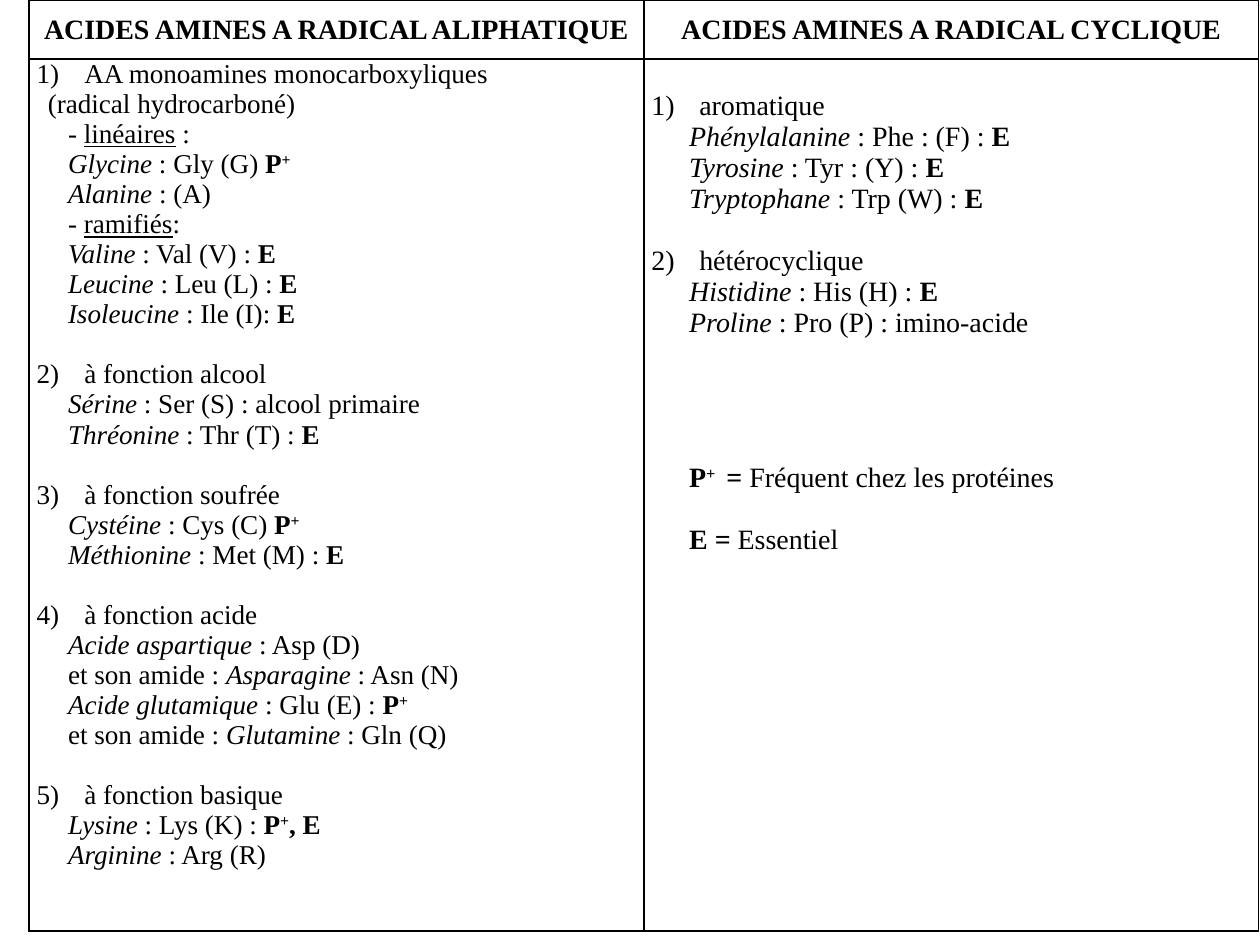
from itertools import zip_longest

from pptx import Presentation
from pptx.dml.color import RGBColor
from pptx.enum.text import MSO_ANCHOR, PP_ALIGN
from pptx.oxml import parse_xml
from pptx.oxml.ns import nsdecls
from pptx.util import Inches, Pt

THEME = {
    "font": "Times New Roman",
    "ink": "000000",
    "header_size": 16,
    "body_sizes": (15.5, 16),
    "border": 1,
    "line_height": 1.107,  # share of the type size
}
HANGING = 0.38
ITEM_INDENTS = (0.25, 0.3)
MARKS = {"/": "italic", "*": "bold", "_": "underline", "^": "superscript"}

HEADERS = ("ACIDES AMINES A RADICAL ALIPHATIQUE", "ACIDES AMINES A RADICAL CYCLIQUE")

# Each family: (heading, lines). In the lines, the MARKS switch a style on and off.
ALIPHATIC = [
    ("AA monoamines monocarboxyliques", [
        "(radical hydrocarboné)",
        "- _linéaires_ :",
        "/Glycine/ : Gly (G) *P^+^*",
        "/Alanine/ : (A)",
        "- _ramifiés_:",
        "/Valine/ : Val (V) : *E*",
        "/Leucine/ : Leu (L) : *E*",
        "/Isoleucine/ : Ile (I): *E*"]),
    ("à fonction alcool", [
        "/Sérine/ : Ser (S) : alcool primaire",
        "/Thréonine/ : Thr (T) : *E*"]),
    ("à fonction soufrée", [
        "/Cystéine/ : Cys (C) *P^+^*",
        "/Méthionine/ : Met (M) : *E*"]),
    ("à fonction acide", [
        "/Acide aspartique/ : Asp (D)",
        "et son amide : /Asparagine/ : Asn (N)",
        "/Acide glutamique/ : Glu (E) : *P^+^*",
        "et son amide : /Glutamine/ : Gln (Q)"]),
    ("à fonction basique", [
        "/Lysine/ : Lys (K) : *P^+^, E*",
        "/Arginine/ : Arg (R)"]),
]
CYCLIC = [
    ("aromatique", [
        "/Phénylalanine/ : Phe : (F) : *E*",
        "/Tyrosine/ : Tyr : (Y) : *E*",
        "/Tryptophane/ : Trp (W) : *E*"]),
    ("hétérocyclique", [
        "/Histidine/ : His (H) : *E*",
        "/Proline/ : Pro (P) : imino-acide"]),
]
# Legend: (lines of space above, text)
LEGEND = [(4, "*P^+ ^ = *Fréquent chez les protéines"), (1, "*E = *Essentiel")]


def write_runs(paragraph, marked, size):
    """Add the marked text as runs, switching a style at each mark."""
    active, pieces = set(), [("", frozenset())]
    for char in marked:
        if char in MARKS:
            active ^= {MARKS[char]}
            pieces.append(("", frozenset(active)))
        else:
            text, styles = pieces[-1]
            pieces[-1] = (text + char, styles)
    for text, styles in pieces:
        if not text:
            continue
        run = paragraph.add_run()
        run.text = text
        run.font.name = THEME["font"]
        run.font.size = Pt(size)
        run.font.color.rgb = RGBColor.from_string(THEME["ink"])
        run.font.bold = "bold" in styles
        run.font.italic = "italic" in styles
        run.font.underline = "underline" in styles
        if "superscript" in styles:
            run.font._element.set("baseline", "30000")


def write_line(frame, marked, size, left, first=0, blank_lines=0, number=None):
    """Add one body line; blank_lines is the gap above, number its list number."""
    paragraph = frame.paragraphs[0]
    if paragraph.runs:
        paragraph = frame.add_paragraph()
        paragraph.space_before = Pt(round(blank_lines * size * THEME["line_height"], 2))
    properties = paragraph._p.get_or_add_pPr()
    properties.set("marL", str(Inches(left)))
    properties.set("indent", str(Inches(first)))
    if number:
        properties.append(parse_xml(
            f'<a:buAutoNum {nsdecls("a")} type="arabicParenR" startAt="{number}"/>'))
    write_runs(paragraph, marked, size)


presentation = Presentation()
presentation.slide_width, presentation.slide_height = Inches(10), Inches(7.5)
slide = presentation.slides.add_slide(presentation.slide_layouts[6])

column_width, row_heights = 4.88, (0.47, 6.92)
families_table = slide.shapes.add_table(
    2, 2, Inches(0.23), 0, Inches(2 * column_width), Inches(sum(row_heights))).table
families_table.first_row = families_table.horz_banding = False
for column in families_table.columns:
    column.width = Inches(column_width)
for row, height in zip(families_table.rows, row_heights):
    row.height = Inches(height)

for cell in families_table.iter_cells():
    cell.margin_left = cell.margin_right = Inches(0.06)
    cell.margin_top = cell.margin_bottom = 0
    for side in "LRTB":
        cell._tc.get_or_add_tcPr().append(parse_xml(
            f'<a:ln{side} {nsdecls("a")} w="{Pt(THEME["border"])}"><a:solidFill>'
            f'<a:srgbClr val="{THEME["ink"]}"/></a:solidFill></a:ln{side}>'))
    cell.fill.background()

for index, header in enumerate(HEADERS):
    cell = families_table.cell(0, index)
    cell.vertical_anchor = MSO_ANCHOR.MIDDLE
    title = cell.text_frame.paragraphs[0]
    title.alignment = PP_ALIGN.CENTER
    write_runs(title, f"*{header}*", THEME["header_size"])

for index, families in enumerate((ALIPHATIC, CYCLIC)):
    frame = families_table.cell(1, index).text_frame
    size, item_indent = THEME["body_sizes"][index], ITEM_INDENTS[index]
    for number, (heading, lines) in enumerate(families, start=1):
        write_line(frame, heading, size, HANGING, -HANGING, 1, number)
        for line in lines:
            if line.startswith("("):
                write_line(frame, line, size, 0.47, -HANGING)
            else:
                write_line(frame, line, size, item_indent)

cyclic_cell = families_table.cell(1, 1)
cyclic_size = THEME["body_sizes"][1]
cyclic_cell.margin_top = Pt(round(cyclic_size * THEME["line_height"], 2))
for blank_lines, meaning in LEGEND:
    write_line(cyclic_cell.text_frame, meaning, cyclic_size, ITEM_INDENTS[1],
               blank_lines=blank_lines)

presentation.save("out.pptx")
